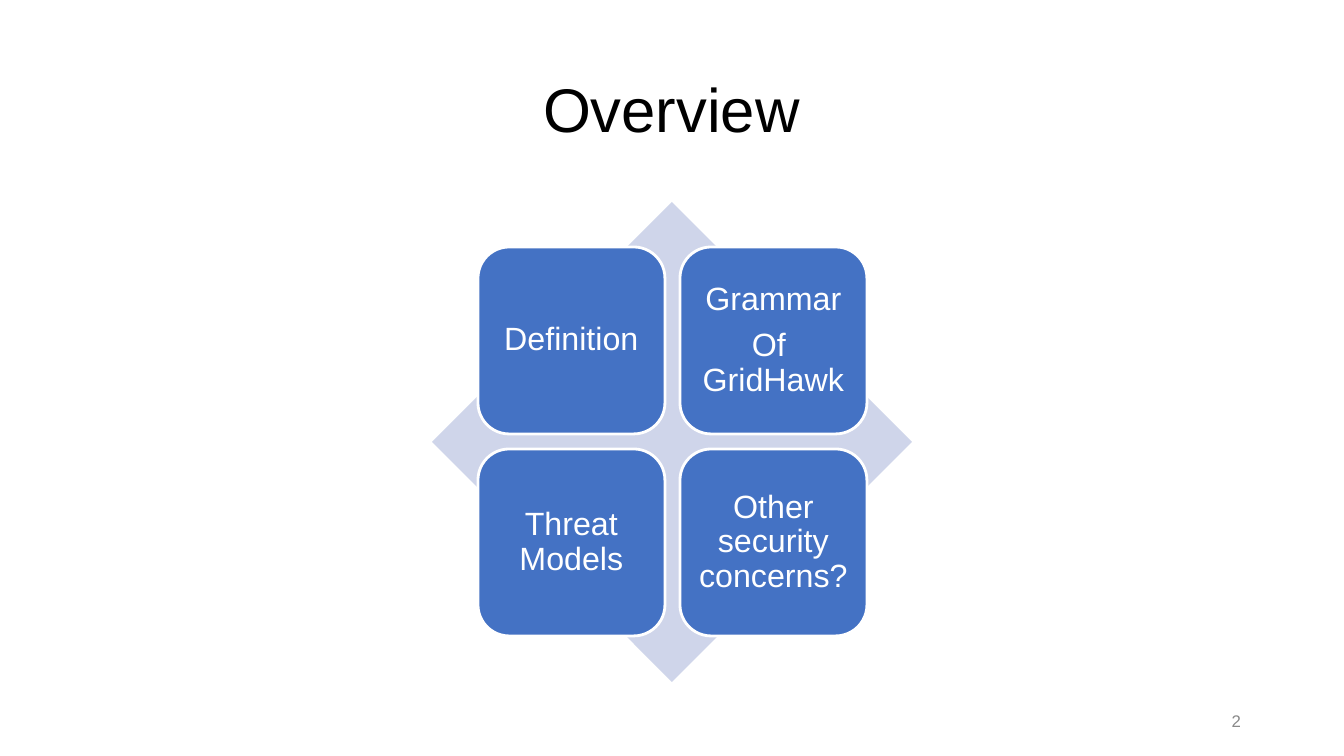
from pptx import Presentation
from pptx import util as u
from pptx.dml.color import RGBColor
from pptx.enum import shapes, text

PX = u.Inches(1) / 100.8
FONT = "Arial"
COLORS = {
    "white": "FFFFFF",
    "black": "000000",
    "tile": "4472C4",
    "diamond": "CFD5EA",
    "number": "898989",
}
TILES = [
    ["Definition", "Grammar\nOf \vGridHawk"],
    ["Threat\vModels", "Other security concerns?"],
]
TILE_LEFT, TILE_TOP, TILE_SIZE, TILE_STEP = 478, 247, 187, 202


def px(*lengths):
    return [u.Emu(round(length * PX)) for length in lengths]


def color(name):
    return RGBColor.from_string(COLORS[name])


def write(box, words, size, color_name, align, spacing=1.0, after=0, insets=(10, 5)):
    frame = box.text_frame
    frame.text = words
    frame.word_wrap = True
    frame.auto_size = text.MSO_AUTO_SIZE.NONE
    frame.vertical_anchor = text.MSO_ANCHOR.MIDDLE
    frame.margin_left = frame.margin_right = px(insets[0])[0]
    frame.margin_top = frame.margin_bottom = px(insets[1])[0]
    for para in frame.paragraphs:
        para.alignment = align
        para.line_spacing = spacing
        para.space_after = u.Pt(after)
        for span in para.runs:
            span.font.name = FONT
            span.font.size = u.Pt(size)
            span.font.color.rgb = color(color_name)


def add_filled(page, kind, bounds, fill):
    shape = page.shapes.add_shape(kind, *px(*bounds))
    shape.shadow.inherit = False
    shape.fill.solid()
    shape.fill.fore_color.rgb = color(fill)
    shape.line.fill.background()
    return shape


def add_tile(page, left, top, words):
    tile = add_filled(page, shapes.MSO_SHAPE.ROUNDED_RECTANGLE,
                      (left, top, TILE_SIZE, TILE_SIZE), "tile")
    tile.line.color.rgb = color("white")
    tile.line.width = u.Pt(2)
    write(tile, words, 23, "white", text.PP_ALIGN.CENTER,
          spacing=0.9, after=8, insets=(9, 9))


def main():
    deck = Presentation()
    deck.slide_width, deck.slide_height = px(1344, 756)
    page = deck.slides.add_slide(deck.slide_layouts[5])

    # Title
    title = page.shapes.title
    title.left, title.top, title.width, title.height = px(92, 40, 1159, 146)
    write(title, "Overview", 44, "black", text.PP_ALIGN.CENTER, spacing=0.9)

    # Matrix of topics on a diamond
    add_filled(page, shapes.MSO_SHAPE.DIAMOND, (432, 202, 480, 480), "diamond")
    for row, topics in enumerate(TILES):
        for column, topic in enumerate(topics):
            add_tile(page, TILE_LEFT + column * TILE_STEP,
                     TILE_TOP + row * TILE_STEP, topic)

    # Slide number
    number = page.shapes.add_textbox(*px(949, 701, 302, 40))
    write(number, "2", 12, "number", text.PP_ALIGN.RIGHT)

    deck.save("out.pptx")


if __name__ == "__main__":
    main()
